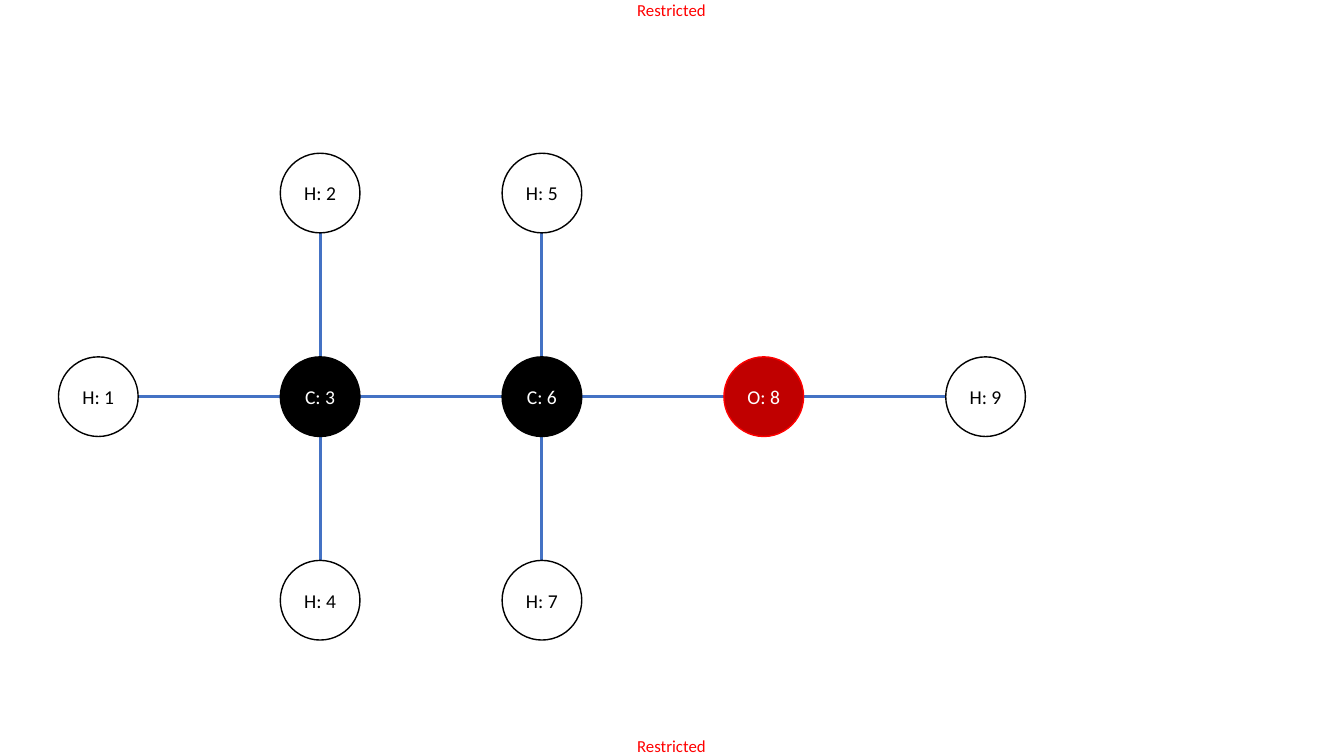
from dataclasses import dataclass

from lxml.etree import SubElement
from pptx import Presentation
from pptx.dml.color import RGBColor
from pptx.enum.shapes import MSO_CONNECTOR, MSO_SHAPE
from pptx.enum.text import MSO_ANCHOR, PP_ALIGN
from pptx.oxml.ns import qn
from pptx.slide import Slide
from pptx.text.text import TextFrame
from pptx.util import Emu, Pt

EMU_PER_PX = 9144
SLIDE_WIDTH, SLIDE_HEIGHT = 1333, 750
DIAMETER = 79
FIRST_LEFT, FIRST_TOP = 58, 152
COLUMN_PITCH, ROW_PITCH = 220, 202
LABEL_LEFT, LABEL_WIDTH, LABEL_HEIGHT = 632, 73, 20
FONT = "Calibri"
BOND_COLOR = "4472C4"
LABEL_COLOR = "FF0000"


@dataclass(frozen=True)
class Element:
    fill: str
    line: str
    text: str


@dataclass(frozen=True)
class Atom:
    symbol: str
    number: int
    column: int
    row: int

    @property
    def left(self) -> int:
        return FIRST_LEFT + self.column * COLUMN_PITCH

    @property
    def top(self) -> int:
        return FIRST_TOP + self.row * ROW_PITCH


ELEMENTS = {
    "H": Element("FFFFFF", "000000", "000000"),
    "C": Element("000000", "000000", "FFFFFF"),
    "O": Element("C00000", "FF0000", "FFFFFF"),
}
ATOMS = [
    Atom("H", 1, 0, 1),
    Atom("H", 2, 1, 0),
    Atom("C", 3, 1, 1),
    Atom("H", 4, 1, 2),
    Atom("H", 5, 2, 0),
    Atom("C", 6, 2, 1),
    Atom("H", 7, 2, 2),
    Atom("O", 8, 3, 1),
    Atom("H", 9, 4, 1),
]
# Each pair of atom numbers runs left to right or top to bottom.
BONDS = [(1, 3), (2, 3), (3, 4), (3, 6), (5, 6), (6, 7), (6, 8), (8, 9)]


def px(length: float) -> Emu:
    return Emu(round(length * EMU_PER_PX))


def rgb(color: str) -> RGBColor:
    return RGBColor.from_string(color)


def write(text_frame: TextFrame, text: str, size: int, color: str) -> None:
    text_frame.text = text
    text_frame.word_wrap = False
    font = text_frame.paragraphs[0].runs[0].font
    font.name = FONT
    font.size = Pt(size)
    font.color.rgb = rgb(color)


def add_label(slide: Slide, top: int) -> None:
    box = slide.shapes.add_textbox(px(LABEL_LEFT), px(top), px(LABEL_WIDTH), px(LABEL_HEIGHT))
    frame = box.text_frame
    frame.margin_left = frame.margin_right = frame.margin_top = frame.margin_bottom = 0
    write(frame, "Restricted", 12, LABEL_COLOR)


def add_bond(slide: Slide, start: Atom, end: Atom) -> None:
    """Join the facing edges of two neighbouring atoms."""
    radius = DIAMETER / 2
    across = (end.column - start.column) * radius
    down = (end.row - start.row) * radius
    connector = slide.shapes.add_connector(
        MSO_CONNECTOR.STRAIGHT,
        px(start.left + radius + across),
        px(start.top + radius + down),
        px(end.left + radius - across),
        px(end.top + radius - down),
    )
    connector.line.color.rgb = rgb(BOND_COLOR)
    connector.line.width = Pt(2.25)
    SubElement(connector._element.spPr, qn("a:effectLst"))


def add_atom(slide: Slide, atom: Atom) -> None:
    element = ELEMENTS[atom.symbol]
    shape = slide.shapes.add_shape(
        MSO_SHAPE.OVAL, px(atom.left), px(atom.top), px(DIAMETER), px(DIAMETER)
    )
    shape.shadow.inherit = False
    shape.fill.solid()
    shape.fill.fore_color.rgb = rgb(element.fill)
    shape.line.color.rgb = rgb(element.line)
    shape.line.width = Pt(1)
    write(shape.text_frame, f"{atom.symbol}: {atom.number}", 14, element.text)
    shape.text_frame.vertical_anchor = MSO_ANCHOR.MIDDLE
    shape.text_frame.paragraphs[0].alignment = PP_ALIGN.CENTER


def main() -> None:
    presentation = Presentation()
    presentation.slide_width = px(SLIDE_WIDTH)
    presentation.slide_height = px(SLIDE_HEIGHT)
    slide = presentation.slides.add_slide(presentation.slide_layouts[6])

    for top in (0, SLIDE_HEIGHT - LABEL_HEIGHT):
        add_label(slide, top)
    atoms = {atom.number: atom for atom in ATOMS}
    for start, end in BONDS:
        add_bond(slide, atoms[start], atoms[end])
    for atom in ATOMS:
        add_atom(slide, atom)

    presentation.save("out.pptx")


if __name__ == "__main__":
    main()
